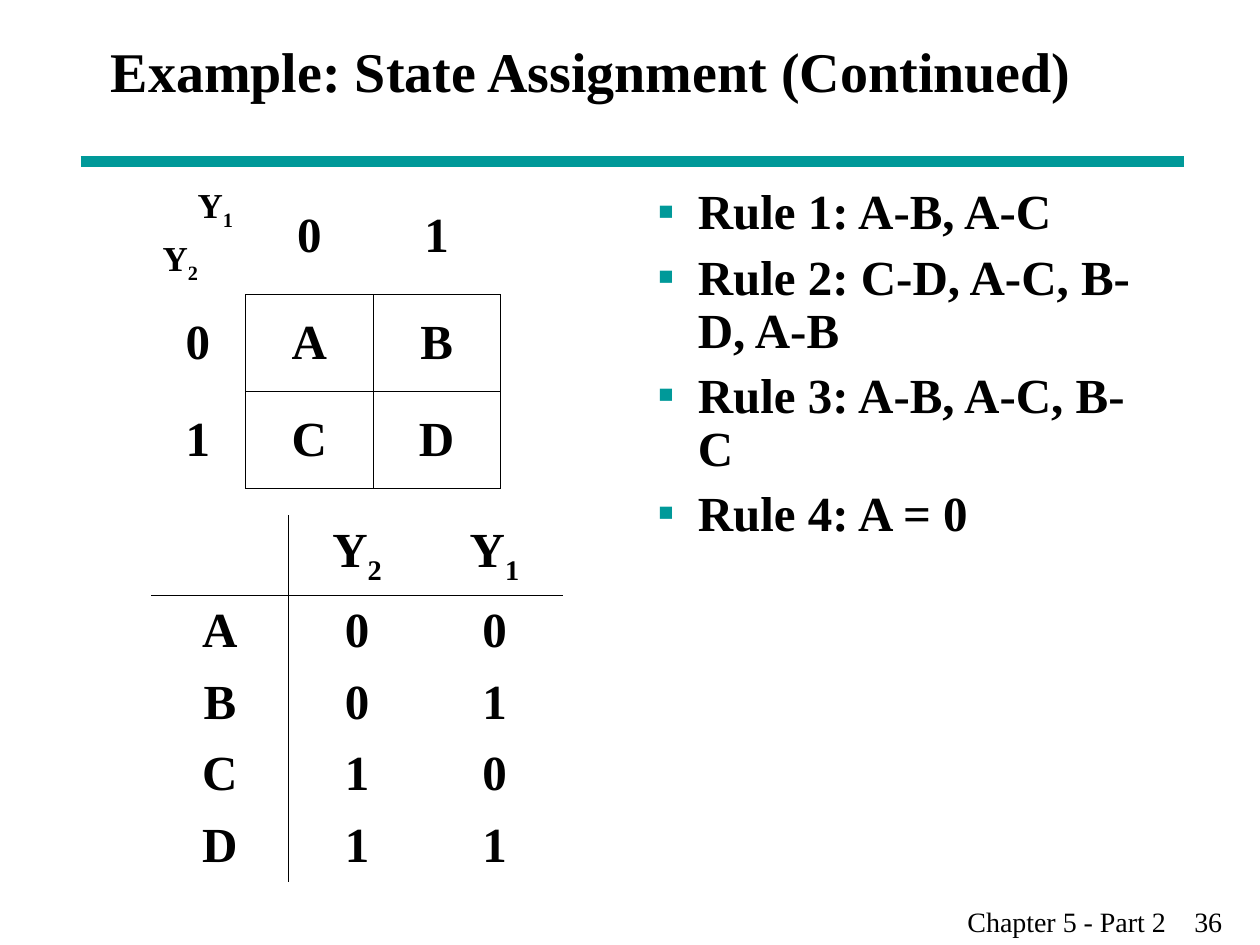
from dataclasses import dataclass

import lxml.etree
import pptx
import pptx.dml.color
import pptx.enum.shapes
import pptx.enum.text
import pptx.oxml
import pptx.oxml.ns
import pptx.util
from pptx.util import Inches

BLACK = pptx.dml.color.RGBColor(0x00, 0x00, 0x00)
TEAL = pptx.dml.color.RGBColor(0x00, 0x99, 0x99)
FONT = "Times New Roman"
BORDER_WIDTH = pptx.util.Pt(0.45)
ALIGN = pptx.enum.text.PP_ALIGN
MIDDLE = pptx.enum.text.MSO_ANCHOR.MIDDLE
qn = pptx.oxml.ns.qn


@dataclass
class StateTable:
    left: float
    top: float
    widths: list[float]
    heights: list[float]
    rows: list[list[str]]
    horizontal_edges: set[int]
    vertical_edges: set[int]
    edge_start: int


def add_child(parent, tag: str, **attributes: str):
    return lxml.etree.SubElement(parent, qn(tag), attributes)


def write_line(frame, text: str, *, size: float = 28, bold: bool = True,
               align=ALIGN.LEFT, space: float = 7, spacing: float = 1.0,
               bullet: str = "", tab: float = 0) -> None:
    first = not frame.text
    paragraph = frame.paragraphs[0] if first else frame.add_paragraph()
    properties = paragraph._p.get_or_add_pPr()
    if bullet:
        properties.set("marL", str(Inches(0.32)))
        properties.set("indent", str(Inches(-0.32)))
        add_child(add_child(properties, "a:buClr"), "a:srgbClr", val=str(TEAL))
        add_child(properties, "a:buFont", typeface=FONT)
        add_child(properties, "a:buChar", char=bullet)
    if tab:
        add_child(add_child(properties, "a:tabLst"), "a:tab",
                  pos=str(Inches(tab)), algn="l")
    paragraph.alignment = align
    paragraph.line_spacing = spacing
    paragraph.space_before = pptx.util.Pt(0 if first else space)
    for position, part in enumerate(text.split("_")):
        run = paragraph.add_run()
        run.text = part
        run.font.name = FONT
        run.font.size = pptx.util.Pt(size)
        run.font.bold = bold
        run.font.color.rgb = BLACK
        if position:
            run._r.get_or_add_rPr().set("baseline", "-25000")


def add_text_box(slide, left: float, top: float, width: float, height: float):
    box = slide.shapes.add_textbox(Inches(left), Inches(top), Inches(width), Inches(height))
    box.text_frame.word_wrap = True
    return box.text_frame


def set_border(cell, tag: str, visible: bool) -> None:
    border = add_child(cell._tc.get_or_add_tcPr(), tag, w=str(BORDER_WIDTH))
    if visible:
        add_child(add_child(border, "a:solidFill"), "a:srgbClr", val=str(BLACK))
    else:
        add_child(border, "a:noFill")


def draw_table(slide, state: StateTable) -> None:
    table = slide.shapes.add_table(
        len(state.heights), len(state.widths), Inches(state.left), Inches(state.top),
        Inches(sum(state.widths)), Inches(sum(state.heights))).table
    table.first_row = table.horz_banding = False
    for column, width in zip(table.columns, state.widths):
        column.width = Inches(width)
    for row, height in zip(table.rows, state.heights):
        row.height = Inches(height)
    for r, labels in enumerate(state.rows):
        for c, label in enumerate(labels):
            cell = table.cell(r, c)
            cell.vertical_anchor = MIDDLE
            for tag, edge in (("a:lnL", c), ("a:lnR", c + 1)):
                set_border(cell, tag, edge in state.vertical_edges and r >= state.edge_start)
            for tag, edge in (("a:lnT", r), ("a:lnB", r + 1)):
                set_border(cell, tag, edge in state.horizontal_edges and c >= state.edge_start)
            cell.fill.background()
            if "\n" in label:
                across, down = label.split("\n")
                write_line(cell.text_frame, across, size=20, align=ALIGN.RIGHT)
                write_line(cell.text_frame, down, size=20, space=5)
            elif label:
                write_line(cell.text_frame, label, align=ALIGN.CENTER)


def draw_title(slide, text: str) -> None:
    title = slide.shapes.title
    title.left, title.top = Inches(0.78), Inches(0)
    title.width, title.height = Inches(9.22), Inches(1.12)
    title.text_frame.auto_size = pptx.enum.text.MSO_AUTO_SIZE.NONE
    title.text_frame.vertical_anchor = MIDDLE
    write_line(title.text_frame, text, size=32)


def draw_divider(slide) -> None:
    divider = slide.shapes.add_connector(
        pptx.enum.shapes.MSO_CONNECTOR.STRAIGHT,
        Inches(0.64), Inches(1.28), Inches(9.4), Inches(1.28))
    divider.line.color.rgb = TEAL
    divider.line.width = pptx.util.Pt(6)
    add_child(divider._element.spPr, "a:effectLst")


KARNAUGH_MAP = StateTable(
    1.19, 1.41, [0.76, 1.01, 1.01], [0.93, 0.77, 0.77],
    [["Y_1\nY_2", "0", "1"], ["0", "A", "B"], ["1", "C", "D"]],
    {1, 2, 3}, {1, 2, 3}, 1)
STATE_CODES = StateTable(
    1.2, 4.09, [1.09] * 3, [0.63] + [0.57] * 4,
    [["", "Y_2", "Y_1"], ["A", "0", "0"], ["B", "0", "1"],
     ["C", "1", "0"], ["D", "1", "1"]],
    {1}, {1}, 0)
RULES = ["Rule 1: A-B, A-C", "Rule 2: C-D, A-C, B-D, A-B",
         "Rule 3: A-B, A-C, B-C", "Rule 4: A = 0"]


def main() -> None:
    deck = pptx.Presentation()
    deck.slide_width, deck.slide_height = Inches(10), Inches(7.5)
    slide = deck.slides.add_slide(deck.slide_layouts[5])
    draw_divider(slide)
    footer = add_text_box(slide, 7.58, 7.13, 2.42, 0.37)
    write_line(footer, "Chapter 5 - Part 2\t36", size=16, bold=False, tab=1.8)
    draw_title(slide, "Example: State Assignment (Continued)")
    for state in (KARNAUGH_MAP, STATE_CODES):
        draw_table(slide, state)
    rules = add_text_box(slide, 5.12, 1.44, 4.17, 5.5)
    for rule in RULES:
        write_line(rules, rule, spacing=0.9, bullet="▪")
    deck.save("out.pptx")


if __name__ == "__main__":
    main()
